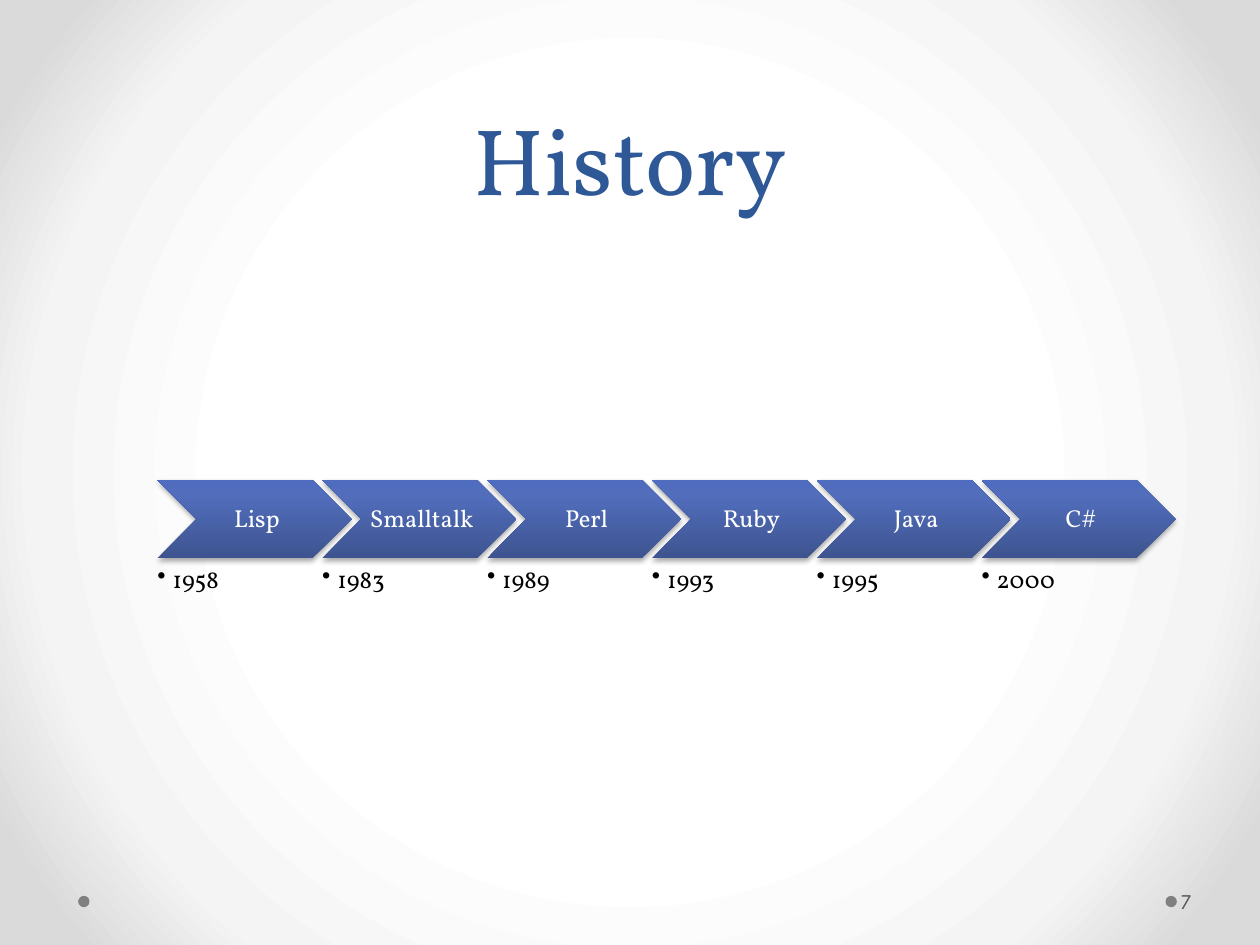
from lxml import etree
from pptx import Presentation
from pptx.dml.color import RGBColor
from pptx.enum.shapes import MSO_SHAPE
from pptx.enum.text import MSO_ANCHOR, PP_ALIGN
from pptx.oxml.ns import qn
from pptx.util import Inches, Pt

CHEVRON, ELLIPSE = MSO_SHAPE.CHEVRON, MSO_SHAPE.OVAL
TOP, MIDDLE, BOTTOM = MSO_ANCHOR.TOP, MSO_ANCHOR.MIDDLE, MSO_ANCHOR.BOTTOM
LEFT, CENTER = PP_ALIGN.LEFT, PP_ALIGN.CENTER

WIDTH, HEIGHT = 10, 7.5
SERIF, SANS = "Vollkorn", "League Spartan"

# Timeline grid
LANGUAGES = [("Lisp", "1958"), ("Smalltalk", "1983"), ("Perl", "1989"),
             ("Ruby", "1993"), ("Java", "1995"), ("C#", "2000")]
FIRST_LEFT, STEP = 1.25, 1.308
CHEVRON_TOP, YEAR_TOP = 3.81, 4.5
CHEVRON_SIZE, YEAR_SIZE = (1.54, 0.62), (1.23, 0.28)

BACKGROUND_STOPS = [(50, "FFFFFF"), (76, "F4F4F4"), (92, "DADADA")]
CHEVRON_STOPS = [(0, "3E5490"), (80, "516DBB"), (100, "4F6CBE")]


def color(value):
    return RGBColor.from_string(value)


def add_node(parent, tag, **attributes):
    node = etree.SubElement(parent, qn(tag))
    for name, value in attributes.items():
        node.set(name, str(value))
    return node


def paint_gradient(fill, properties, stops, angle=None):
    """Linear gradient at an angle, or circular from the centre without one."""
    fill.solid()
    solid = properties.find(qn("a:solidFill"))
    gradient = etree.Element(qn("a:gradFill"), rotWithShape="1")
    stop_list = add_node(gradient, "a:gsLst")
    for position, value in stops:
        stop = add_node(stop_list, "a:gs", pos=position * 1000)
        add_node(stop, "a:srgbClr", val=value)
    if angle is None:
        circle = add_node(gradient, "a:path", path="circle")
        add_node(circle, "a:fillToRect", l=50000, t=50000, r=50000, b=50000)
    else:
        add_node(gradient, "a:lin", ang=angle * 60000, scaled=0)
    properties.replace(solid, gradient)


def add_soft_shadow(shape):
    effects = shape.element.spPr.find(qn("a:effectLst"))
    shadow = add_node(effects, "a:outerShdw", blurRad=Pt(3.1), dist=Pt(1.8),
                      dir=90 * 60000, rotWithShape=0)
    shade = add_node(shadow, "a:srgbClr", val="000000")
    add_node(shade, "a:alpha", val=35000)


def write_text(shape, text, size, font, hex_color, anchor=TOP, align=LEFT,
               spacing=None, insets=(0.1, 0.05, 0.1, 0.05)):
    frame = shape.text_frame
    left, top, right, bottom = map(Inches, insets)
    frame_format = {"word_wrap": True, "vertical_anchor": anchor,
                    "margin_left": left, "margin_top": top,
                    "margin_right": right, "margin_bottom": bottom}
    for name, value in frame_format.items():
        setattr(frame, name, value)
    paragraph = frame.paragraphs[0]
    paragraph.alignment, paragraph.line_spacing = align, spacing
    run = paragraph.add_run()
    run.text = text
    for name, value in {"size": Pt(size), "name": font}.items():
        setattr(run.font, name, value)
    run.font.color.rgb = color(hex_color)
    return paragraph


def add_text(slide, box, text, size, font, hex_color, **layout):
    shape = slide.shapes.add_textbox(*map(Inches, box))
    return write_text(shape, text, size, font, hex_color, **layout)


def add_shape(slide, kind, box):
    shape = slide.shapes.add_shape(kind, *map(Inches, box))
    shape.shadow.inherit = False
    shape.line.fill.background()
    return shape


def add_footer_dot(slide, left):
    dot = add_shape(slide, ELLIPSE, (left, 7.11, 0.09, 0.09))
    dot.fill.solid()
    dot.fill.fore_color.rgb = color("808080")


def add_language(slide, left, name):
    chevron = add_shape(slide, CHEVRON, (left, CHEVRON_TOP, *CHEVRON_SIZE))
    paint_gradient(chevron.fill, chevron.element.spPr, CHEVRON_STOPS, 270)
    add_soft_shadow(chevron)
    write_text(chevron, name, 14, SERIF, "FFFFFF", anchor=MIDDLE, align=CENTER,
               spacing=0.9, insets=(0.06, 0.02, 0.02, 0.02))


def add_year(slide, left, year):
    paragraph = add_text(slide, (left, YEAR_TOP, *YEAR_SIZE), year, 14, SERIF,
                         "000000", spacing=0.9, insets=(0, 0, 0, 0))
    properties = paragraph._p.get_or_add_pPr()
    properties.set("marL", str(Inches(0.12)))
    properties.set("indent", str(-Inches(0.12)))
    add_node(properties, "a:buChar", char="•")


def main():
    presentation = Presentation()
    presentation.slide_width = Inches(WIDTH)
    presentation.slide_height = Inches(HEIGHT)
    slide = presentation.slides.add_slide(presentation.slide_layouts[6])

    # Background
    fill = slide.background.fill
    fill.solid()
    background = slide.element.find(".//" + qn("p:bgPr"))
    paint_gradient(fill, background, BACKGROUND_STOPS)

    # Footer dots and slide number
    for left in (9.25, 0.62):
        add_footer_dot(slide, left)
    add_text(slide, (9.34, 6.95, 0.61, 0.4), "7", 12, SANS, "595959",
             anchor=MIDDLE, insets=(0.03, 0.05, 0.05, 0.05))

    # Title
    add_text(slide, (0.5, 0, WIDTH - 1, 1.75), "History", 54, SERIF, "2F5897",
             anchor=BOTTOM, align=CENTER, spacing=Pt(58))

    # Timeline
    for column, (name, year) in enumerate(LANGUAGES):
        left = FIRST_LEFT + column * STEP
        add_language(slide, left, name)
        add_year(slide, left, year)

    presentation.save("out.pptx")


if __name__ == "__main__":
    main()
